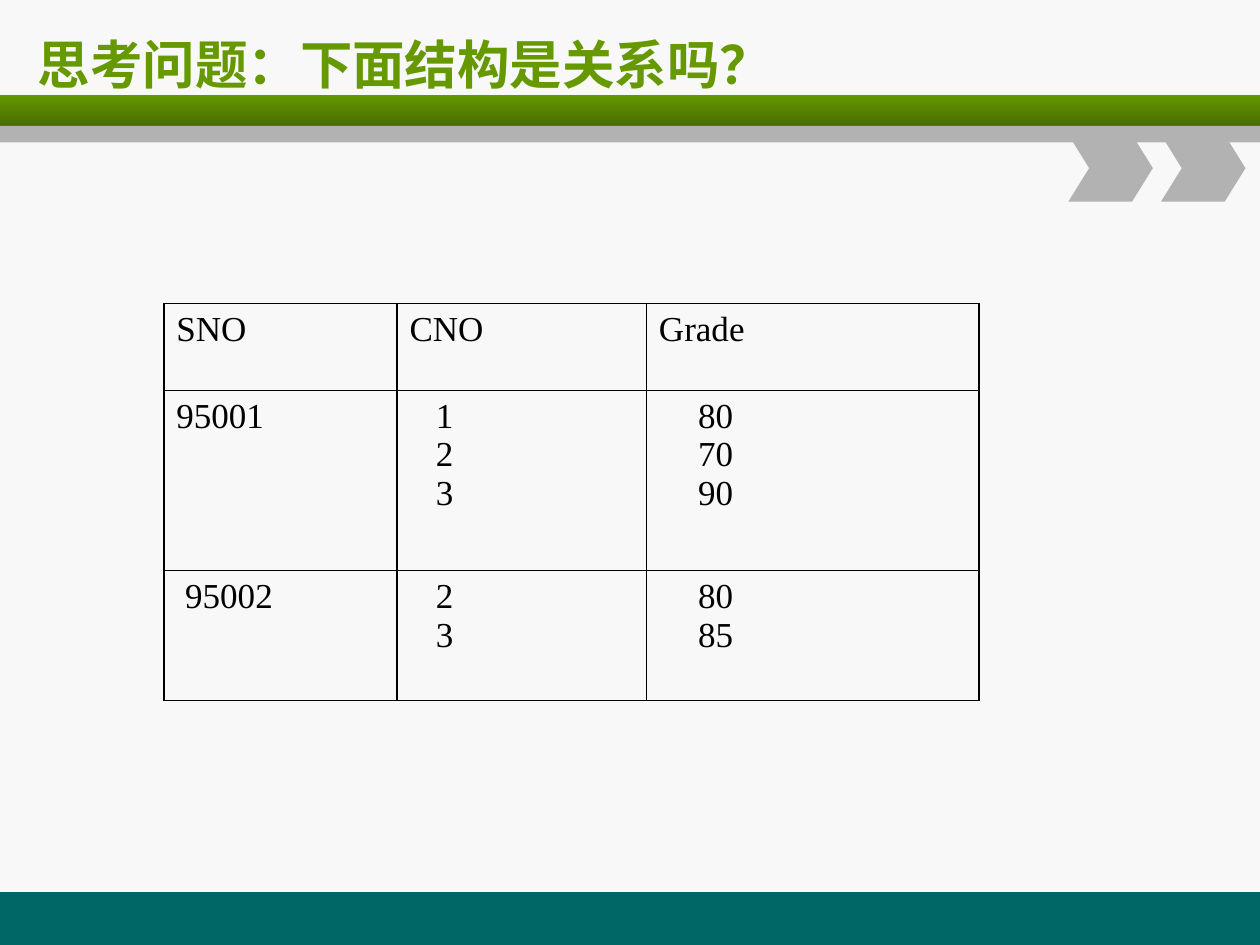
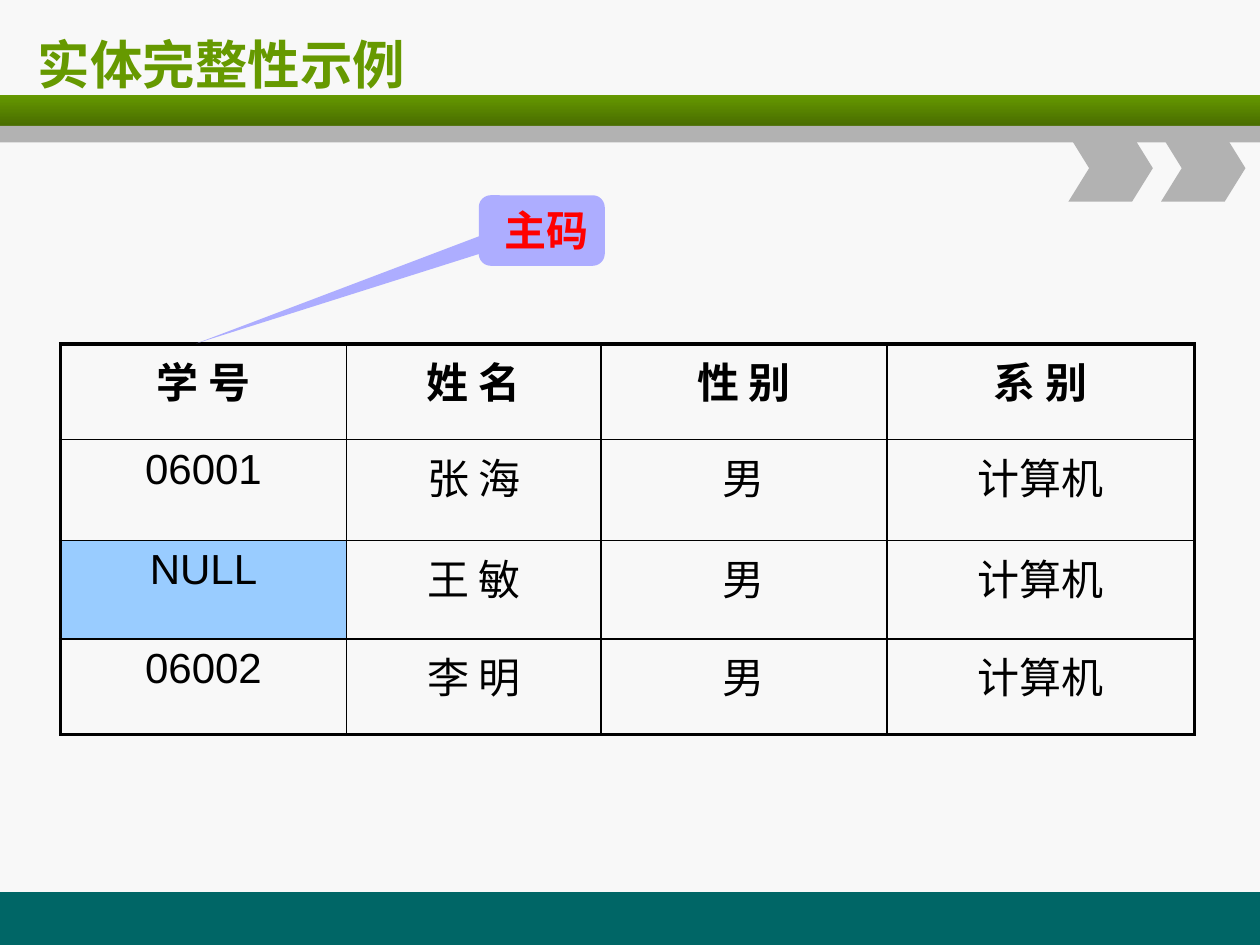
from lxml.etree import SubElement as Sub
from pptx import Presentation
from pptx.dml.color import RGBColor as Rgb
from pptx.enum.shapes import MSO_SHAPE as Shape
from pptx.enum.text import MSO_ANCHOR as Anchor, PP_ALIGN as Align
from pptx.oxml.ns import qn
from pptx.util import Inches, Pt

# Grid of 100 columns by 75 rows
COLS, ROWS = 100, 75
UNIT = Inches(10) // COLS

HUES = {
    "page": "F8F8F8", "green": "669900", "moss": "496D00", "gray": "B2B2B2",
    "teal": "006666", "ink": "000000", "sky": "99CCFF", "lilac": "ADADFF",
    "red": "FF0000",
}
THIN, THICK = 1, 2.25


def hue(name):
    return Rgb.from_string(HUES[name])


def grid(*sizes):
    return [round(size * UNIT) for size in sizes]


def write(frame, text, font="Arial", size=24, color="ink", bold=False,
          align=Align.LEFT, anchor=Anchor.TOP):
    """Fill a text frame, one paragraph per line."""
    frame.word_wrap = True
    frame.vertical_anchor = anchor
    for num, line in enumerate(text.split("\n")):
        para = frame.paragraphs[0] if num == 0 else frame.add_paragraph()
        para.alignment = align
        run = para.add_run()
        run.text = line
        run.font.name, run.font.size, run.font.bold = font, Pt(size), bold
        run.font.color.rgb = hue(color)


def draw(slide, kind, box, color):
    shape = slide.shapes.add_shape(kind, *grid(*box))
    shape.shadow.inherit = False
    shape.fill.solid()
    shape.fill.fore_color.rgb = hue(color)
    shape.line.fill.background()
    return shape


def edge(cell, side, width):
    line = Sub(cell._tc.get_or_add_tcPr(), qn(f"a:ln{side}"), w=str(Pt(width)))
    fill = Sub(line, qn("a:solidFill"))
    Sub(fill, qn("a:srgbClr"), val=HUES["ink"])


def table(slide, box, wide, high, rim=THIN):
    """Add a plain ruled table; return its rows of cells."""
    item = slide.shapes.add_table(len(high), len(wide), *grid(*box)).table
    item.first_row = item.horz_banding = False
    for col, size in zip(item.columns, grid(*wide)):
        col.width = size
    for row, size in zip(item.rows, grid(*high)):
        row.height = size
    rows = [list(row.cells) for row in item.rows]
    for r, row in enumerate(rows):
        for c, cell in enumerate(row):
            outer = {"L": c == 0, "R": c == len(wide) - 1,
                     "T": r == 0, "B": r == len(high) - 1}
            for side, is_rim in outer.items():
                edge(cell, side, rim if is_rim else THIN)
            cell.fill.background()
    return rows


def header(slide, box, title):
    """Title, two bands and two chevrons at the top of the box."""
    x, y, w, h = box
    band = draw(slide, Shape.RECTANGLE, (x, y + 7.5, w, 2.5), "green")
    band.fill.gradient()
    band.fill.gradient_angle = 270
    for stop, name, pos in zip(band.fill.gradient_stops, ("green", "moss"), (0, 1)):
        stop.color.rgb, stop.position = hue(name), pos
    draw(slide, Shape.RECTANGLE, (x, y + 10, w, 1.3), "gray")
    for num in range(2):
        mark = draw(slide, Shape.CHEVRON,
                    (x + w - 15.2 + num * 7.35, y + 10.7, 6.7, 5.3), "gray")
        mark.adjustments[0] = 0.31
    name = slide.shapes.add_textbox(*grid(x + 2, y + 1.7, w - 4.5, 6.7))
    write(name.text_frame, title, font="DejaVu Sans", size=30, color="green",
          bold=True, anchor=Anchor.MIDDLE)


def footer(slide, box):
    draw(slide, Shape.RECTANGLE, box, "teal")


def start(deck, title):
    """New slide with the shared frame."""
    slide = deck.slides.add_slide(deck.slide_layouts[6])
    footer(slide, (0, ROWS - 4.2, COLS, 4.2))
    header(slide, (0, 0, COLS, 16), title)
    return slide


def grades(slide, box):
    """Table whose cells hold several values, with indents in grid columns."""
    data = [
        [("SNO", 0), ("CNO", 0), ("Grade", 0)],
        [("95001", 0), ("1\n2\n3", 2.1), ("80\n70\n90", 3.1)],
        [("95002", 0.7), ("2\n3", 2.1), ("80\n85", 3.1)],
    ]
    rows = table(slide, box, (18.5, 19.8, 26.4), (6.9, 14.3, 10.3))
    for row, items in zip(rows, data):
        for cell, (text, shift) in zip(row, items):
            cell.margin_left = grid(1 + shift)[0]
            write(cell.text_frame, text, font="Times New Roman", size=20)


def pupils(slide, box):
    """Student table with the missing key marked."""
    data = [
        ["学 号", "姓 名", "性 别", "系 别"],
        ["06001", "张 海", "男", "计算机"],
        ["NULL", "王 敏", "男", "计算机"],
        ["06002", "李 明", "男", "计算机"],
    ]
    rows = table(slide, box, (22.7, 20.2, 22.7, 24.4), (7.6, 8, 7.8, 7.6), THICK)
    for num, (row, items) in enumerate(zip(rows, data)):
        for cell, text in zip(row, items):
            write(cell.text_frame, text, bold=num == 0, align=Align.CENTER)
            if text == "NULL":
                cell.fill.solid()
                cell.fill.fore_color.rgb = hue("sky")


def label(slide, box, text):
    """Callout that points at the key column."""
    note = draw(slide, Shape.ROUNDED_RECTANGULAR_CALLOUT, box, "lilac")
    for num, value in enumerate((-2.74, 1.6, 0.17)):
        note.adjustments[num] = value
    write(note.text_frame, text, font="DejaVu Sans Mono", color="red",
          bold=True, align=Align.RIGHT)


def main():
    deck = Presentation()
    deck.slide_width, deck.slide_height = grid(COLS, ROWS)
    page = deck.slide_master.background.fill
    page.solid()
    page.fore_color.rgb = hue("page")

    # Is this structure a relation?
    slide = start(deck, "思考问题：下面结构是关系吗？")
    grades(slide, (13, 24.1, 64.7, 31.5))

    # Entity integrity
    slide = start(deck, "实体完整性示例")
    pupils(slide, (4.8, 27.3, 90, 31))
    label(slide, (38, 15.5, 10, 5.6), "主码")

    deck.save("out.pptx")


if __name__ == "__main__":
    main()
